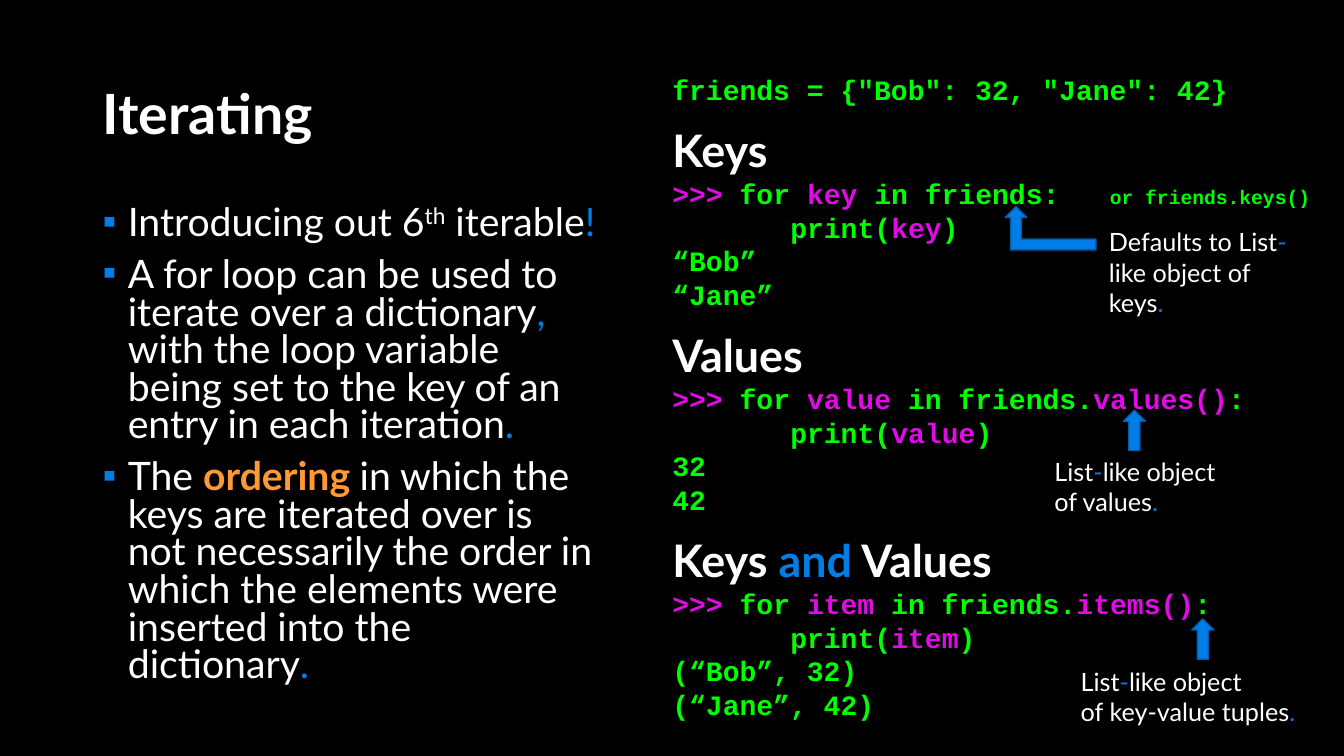
"""Builds the slide on iterating over dictionaries."""
from dataclasses import dataclass, replace

import lxml.etree
import pptx
import pptx.dml.color
import pptx.enum.shapes
import pptx.enum.text
import pptx.oxml.ns
import pptx.util

Inches = pptx.util.Inches
Pt = pptx.util.Pt
Shapes = pptx.enum.shapes.MSO_SHAPE
WHITE, BLUE, GREEN, MAGENTA, ORANGE = "FFFFFF", "017EE5", "00FF00", "E00BE5", "FF9933"


@dataclass(frozen=True)
class Style:
    size: float
    color: str = WHITE
    font: str = "Lato"
    bold: bool = False
    superscript: bool = False


@dataclass(frozen=True)
class Piece:
    text: str
    style: Style


@dataclass(frozen=True)
class Loop:
    heading: list[Piece]
    variable: str
    source: list[Piece]
    output: list[str]


@dataclass(frozen=True)
class Callout:
    box: tuple[float, float, float, float]
    lines: list[list[Piece]]
    wrap: bool
    arrow: tuple[float, float, float, float]
    arrow_kind: Shapes


TITLE = Style(39.6, bold=True)
BODY = Style(28)
BODY_BLUE = replace(BODY, color=BLUE)
HEADING = Style(32, bold=True)
CODE = Style(20, GREEN, "Courier New", True)
NAME = replace(CODE, color=MAGENTA)
NOTE = Style(18)
NOTE_BLUE = replace(NOTE, color=BLUE)

POINTS = [
    [Piece("Introducing out 6", BODY), Piece("th", replace(BODY, superscript=True)),
     Piece(" iterable", BODY), Piece("!", BODY_BLUE)],
    [Piece("A for loop can be used to iterate over a dictionary", BODY), Piece(",", BODY_BLUE),
     Piece(" with the loop variable being set to the key of an entry in each iteration", BODY),
     Piece(".", BODY_BLUE)],
    [Piece("The ", BODY), Piece("ordering ", replace(BODY, color=ORANGE, bold=True)),
     Piece("in which the keys are iterated over is not necessarily the order in which "
           "the elements were inserted into the dictionary", BODY), Piece(".", BODY_BLUE)],
]

LOOPS = [
    Loop([Piece("Keys", HEADING)], "key",
         [Piece(" in friends:\t", CODE), Piece("or friends.keys()", replace(CODE, size=14))],
         ["“Bob”", "“Jane”"]),
    Loop([Piece("Values", HEADING)], "value",
         [Piece(" in friends.", CODE), Piece("values()", NAME), Piece(":", CODE)],
         ["32", "42"]),
    Loop([Piece("Keys ", HEADING), Piece("and", replace(HEADING, color=BLUE)),
          Piece(" Values", HEADING)], "item",
         [Piece(" in friends.", CODE), Piece("items()", NAME), Piece(":", CODE)],
         ["(“Bob”, 32)", "(“Jane”, 42)"]),
]

LIST_LIKE = [Piece("List", NOTE), Piece("-", NOTE_BLUE), Piece("like object", NOTE)]
STOP = Piece(".", NOTE_BLUE)
CALLOUTS = [
    Callout((10.9, 2.2, 2.13, 1.01),
            [[Piece("Defaults to List", NOTE), Piece("-", NOTE_BLUE),
              Piece("like object of keys", NOTE), STOP]],
            True, (9.97, 2.05, 0.9, 0.43), Shapes.BENT_UP_ARROW),
    Callout((10.36, 4.48, 1.81, 0.71), [LIST_LIKE, [Piece("of values", NOTE), STOP]],
            False, (11.14, 4.07, 0.22, 0.4), Shapes.UP_ARROW),
    Callout((10.62, 6.56, 2.35, 0.71), [LIST_LIKE, [Piece("of key-value tuples", NOTE), STOP]],
            False, (11.82, 6.14, 0.22, 0.4), Shapes.UP_ARROW),
]


def rgb(value: str) -> pptx.dml.color.RGBColor:
    """Return the colour for a hex string."""
    return pptx.dml.color.RGBColor.from_string(value)


def write(frame, pieces: list[Piece]):
    """Write one paragraph of styled runs, filling the empty first one, and return it."""
    paragraph = frame.paragraphs[0] if not frame.text else frame.add_paragraph()
    paragraph.alignment = pptx.enum.text.PP_ALIGN.LEFT
    for piece in pieces:
        run = paragraph.add_run()
        run.text = piece.text
        run.font.name = piece.style.font
        run.font.size = Pt(piece.style.size)
        run.font.bold = piece.style.bold
        run.font.color.rgb = rgb(piece.style.color)
        if piece.style.superscript:
            run._r.get_or_add_rPr().set("baseline", "30000")
    return paragraph


def add_child(parent, tag: str, **attributes: str):
    """Append a DrawingML element and return it."""
    return lxml.etree.SubElement(parent, pptx.oxml.ns.qn(tag), attributes)


def add_frame(slide, box: tuple[float, float, float, float], wrap: bool = True):
    """Add a text box and return its text frame."""
    frame = slide.shapes.add_textbox(*map(Inches, box)).text_frame
    frame.word_wrap = wrap
    return frame


def add_title(slide, text: str) -> None:
    """Place and fill the title placeholder."""
    title = slide.shapes.title
    title.left, title.top, title.width, title.height = map(Inches, (0.92, 0.8, 11.5, 0.72))
    title.text_frame.vertical_anchor = pptx.enum.text.MSO_ANCHOR.MIDDLE
    title.text_frame.auto_size = pptx.enum.text.MSO_AUTO_SIZE.NONE
    write(title.text_frame, [Piece(text, TITLE)]).line_spacing = 0.9


def add_points(slide) -> None:
    """Add the bulleted explanation."""
    frame = add_frame(slide, (0.92, 2, 5.1, 5.29))
    for point in POINTS:
        paragraph = write(frame, point)
        paragraph.line_spacing = 0.8
        paragraph.space_before = Pt(10)
        properties = paragraph._p.get_or_add_pPr()
        properties.set("marL", str(Inches(0.25)))
        properties.set("indent", str(-Inches(0.25)))
        add_child(add_child(properties, "a:buClr"), "a:srgbClr", val="007EE5")
        add_child(properties, "a:buFont", typeface="Arial")
        add_child(properties, "a:buChar", char="▪")


def write_code(frame, pieces: list[Piece], indent: float = 0) -> None:
    """Write a line of code with an indent and a tab stop for its remark."""
    paragraph = write(frame, pieces)
    paragraph.line_spacing = Pt(24)
    properties = paragraph._p.get_or_add_pPr()
    properties.set("marL", str(Inches(indent)))
    if any("\t" in piece.text for piece in pieces):
        add_child(add_child(properties, "a:tabLst"), "a:tab", pos=str(Inches(4.34)), algn="l")


def add_code(slide) -> None:
    """Add the dictionary and the three loops over it."""
    frame = add_frame(slide, (6.57, 0.67, 6.6, 6.6))
    write_code(frame, [Piece('friends = {"Bob": 32, "Jane": 42}', CODE)])
    for loop in LOOPS:
        write(frame, loop.heading).space_before = Pt(12)
        variable = Piece(loop.variable, NAME)
        write_code(frame, [Piece(">>> ", NAME), Piece("for ", CODE), variable, *loop.source])
        write_code(frame, [Piece("print(", CODE), variable, Piece(")", CODE)], 1.17)
        for line in loop.output:
            write_code(frame, [Piece(line, CODE)])


def add_callout(slide, callout: Callout) -> None:
    """Add a remark and the arrow that leads to its code."""
    frame = add_frame(slide, callout.box, callout.wrap)
    for line in callout.lines:
        write(frame, line)
    arrow = slide.shapes.add_shape(callout.arrow_kind, *map(Inches, callout.arrow))
    arrow.shadow.inherit = False
    arrow.fill.solid()
    arrow.fill.fore_color.rgb = rgb(BLUE)
    arrow.line.color.rgb = rgb("015DA9")
    arrow.line.width = Pt(1)
    if callout.arrow_kind == Shapes.BENT_UP_ARROW:
        arrow._element.spPr.get_or_add_xfrm().set("flipH", "1")


def main() -> None:
    """Build and save the presentation."""
    deck = pptx.Presentation()
    deck.slide_width, deck.slide_height = Inches(13.33), Inches(7.5)
    slide = deck.slides.add_slide(deck.slide_layouts[5])
    slide.background.fill.solid()
    slide.background.fill.fore_color.rgb = rgb("000000")
    add_title(slide, "Iterating")
    add_points(slide)
    add_code(slide)
    for callout in CALLOUTS:
        add_callout(slide, callout)
    deck.save("out.pptx")


main()
